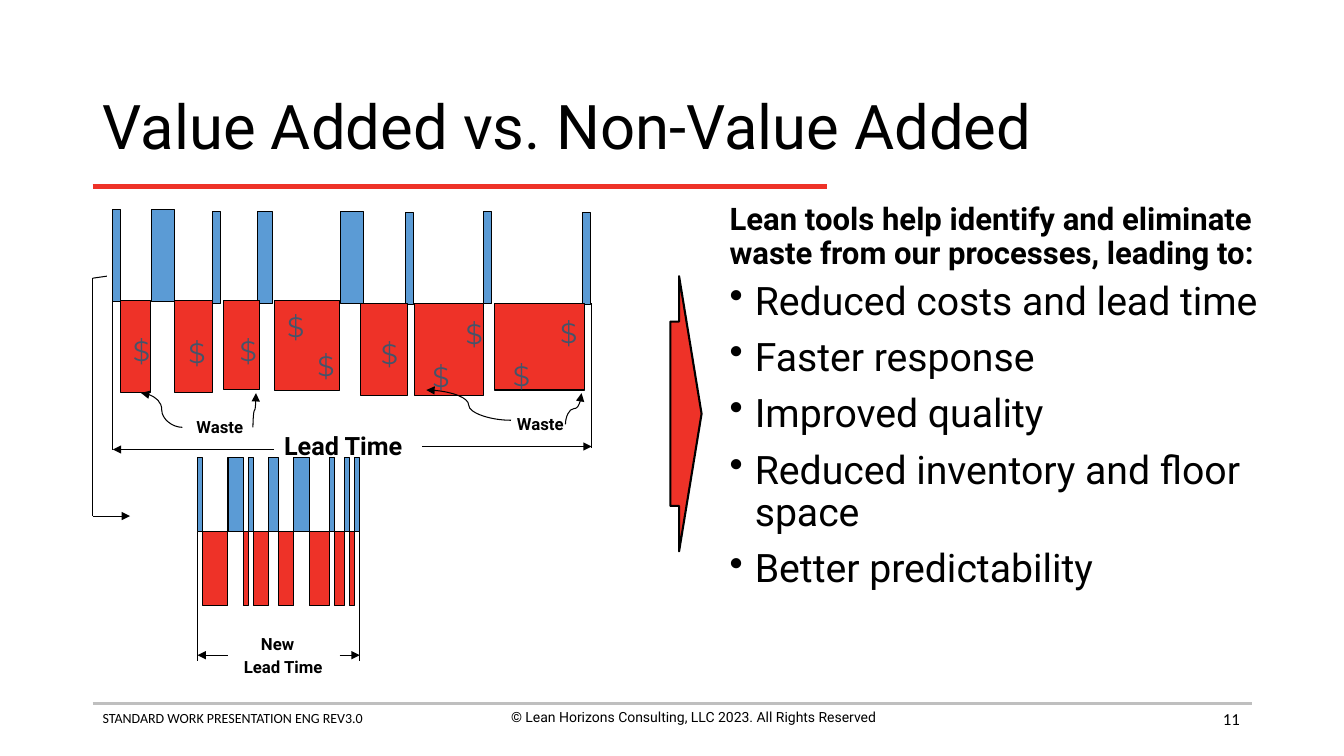
from dataclasses import dataclass

from lxml import etree
from pptx import Presentation
from pptx.dml.color import RGBColor
from pptx.enum.shapes import MSO_CONNECTOR, MSO_SHAPE
from pptx.enum.text import MSO_ANCHOR, MSO_AUTO_SIZE, PP_ALIGN
from pptx.oxml.ns import qn
from pptx.util import Inches, Pt

STRAIGHT, CURVE = MSO_CONNECTOR.STRAIGHT, MSO_CONNECTOR.CURVE
RECTANGLE, RIGHT_ARROW = MSO_SHAPE.RECTANGLE, MSO_SHAPE.RIGHT_ARROW
TOP, MIDDLE, BOTTOM = MSO_ANCHOR.TOP, MSO_ANCHOR.MIDDLE, MSO_ANCHOR.BOTTOM
LEFT, CENTER, RIGHT = PP_ALIGN.LEFT, PP_ALIGN.CENTER, PP_ALIGN.RIGHT


@dataclass(frozen=True)
class Theme:
    black: RGBColor = RGBColor(0x00, 0x00, 0x00)
    waste: RGBColor = RGBColor(0xEE, 0x32, 0x28)
    value: RGBColor = RGBColor(0x5B, 0x9B, 0xD5)
    money: RGBColor = RGBColor(0x44, 0x54, 0x6A)
    rule: RGBColor = RGBColor(0xBF, 0xBF, 0xBF)
    main_font: str = "Roboto"
    footer_font: str = "Calibri"
    money_font: str = "Montserrat"
    title: float = 44
    bullet: float = 28
    heading: float = 22.2
    dollar: float = 20
    lead_time: float = 18
    label: float = 12
    footer: float = 10
    thin: float = 0.75


theme = Theme()
CELL = Inches(0.1)  # the slide is a grid of 133.3 columns by 75 rows
LEFT_EDGE, RIGHT_EDGE = 9.2, 124.2

presentation = Presentation()
presentation.slide_width = int(133.33 * CELL)
presentation.slide_height = 75 * CELL
slide = presentation.slides.add_slide(presentation.slide_layouts[5])


def add_text(box, lines, size, font=theme.main_font, color=theme.black, bold=False,
             anchor=TOP, align=LEFT, wrap=True, shape=None):
    """Fill a new text box, or the given shape, with one paragraph per line."""
    left, top, width, height = [int(length * CELL) for length in box]
    if shape is None:
        shape = slide.shapes.add_textbox(left, top, width, height)
    else:
        shape.left, shape.top, shape.width, shape.height = left, top, width, height
    frame = shape.text_frame
    frame.text = "\n".join(lines)
    frame.word_wrap = wrap
    frame.auto_size = MSO_AUTO_SIZE.NONE
    frame.vertical_anchor = anchor
    for paragraph in frame.paragraphs:
        paragraph.alignment = align
        paragraph.font.size = Pt(size)
        paragraph.font.name = font
        paragraph.font.bold = bold
        paragraph.font.color.rgb = color
    return frame.paragraphs


def add_line(start, end, color=theme.black, width=theme.thin, arrow=False, kind=STRAIGHT,
             upright=False):
    """Draw a line; an upright curve leaves and arrives vertically, going up."""
    (x1, y1), (x2, y2) = start, end
    if upright:
        middle_x, middle_y = (x1 + x2) / 2, (y1 + y2) / 2
        half_run, half_rise = (x2 - x1) / 2, (y1 - y2) / 2
        x1, x2 = middle_x - half_rise, middle_x + half_rise
        y1, y2 = middle_y - half_run, middle_y + half_run
    line = slide.shapes.add_connector(kind, *[int(length * CELL) for length in (x1, y1, x2, y2)])
    line.line.color.rgb = color
    line.line.width = Pt(width)
    properties = line._element.spPr
    if upright:
        properties.find(qn("a:xfrm")).set("rot", str(270 * 60000))
    if arrow:
        etree.SubElement(properties.find(qn("a:ln")), qn("a:tailEnd"), type="triangle")
    etree.SubElement(properties, qn("a:effectLst"))


# Title, rules and footer
title, = add_text((LEFT_EDGE, 7.3, 115, 11.2), ["Value Added vs. Non-Value Added"], theme.title,
                  anchor=MIDDLE, shape=slide.shapes.title)
title.line_spacing = 0.9
add_line((LEFT_EDGE, 18.5), (82, 18.5), theme.waste, 3)
add_line((LEFT_EDGE, 69.8), (RIGHT_EDGE, 69.8), theme.rule, 2)
add_text((LEFT_EDGE, 69.9, 45.6, 4.4), ["STANDARD WORK PRESENTATION ENG REV3.0"], theme.footer,
         theme.footer_font)
add_text((46, 69.8, 45.6, 4.4), ["© Lean Horizons Consulting, LLC 2023. All Rights Reserved"],
         theme.footer, align=CENTER)
add_text((94, 69.3, 30, 4), ["11"], theme.label, theme.footer_font, anchor=MIDDLE, align=RIGHT)

# Benefits
heading, = add_text((71.4, 18.4, 56.7, 9),
                    ["Lean tools help identify and eliminate waste from our processes, leading to:"],
                    theme.heading, bold=True, anchor=BOTTOM)
heading.line_spacing = 0.9
benefits = add_text((71.4, 27.4, 56.7, 40.3),
                    ["Reduced costs and lead time", "Faster response", "Improved quality",
                     "Reduced inventory and floor space", "Better predictability"], theme.bullet)
for number, paragraph in enumerate(benefits):
    paragraph.line_spacing = 0.9
    if number:
        paragraph.space_before = Pt(10)
    paragraph_properties = paragraph._p.get_or_add_pPr()
    paragraph_properties.set("marL", str(Inches(0.25)))
    paragraph_properties.set("indent", str(-Inches(0.25)))
    bullet = etree.Element(qn("a:buChar"), char="•")
    paragraph_properties.find(qn("a:defRPr")).addprevious(bullet)

# Process bars: left, top, width, height, colour
value_steps = [(11.2, 20.8, 0.8), (15, 20.8, 2.3), (21.1, 21, 0.8), (25.5, 21, 1.5),
               (33.8, 21, 2.3), (40.2, 21.1, 0.8), (48, 21, 0.8), (57.8, 21.1, 0.8)]
waste_steps = [(12, 29.8, 2.9, 9.1), (17.3, 29.8, 3.8, 9.1), (22.2, 29.8, 3.5, 8.8),
               (27.2, 29.8, 6.5, 8.9), (35.8, 30.1, 4.6, 9.1), (41.1, 30.1, 6.9, 9.1),
               (49.1, 30.1, 8.9, 8.6)]
bars = [(left, top, width, 9.1, theme.value) for left, top, width in value_steps]
bars += [(*box, theme.waste) for box in waste_steps]

# The new process alternates value and waste with no gaps
NEW_START, NEW_END, NEW_TOP, NEW_HEIGHT = 19.6, 35.7, 45.4, 7.35
new_durations = [1, 5, 3, 1, 1, 3, 2, 3, 3, 4, 1, 2, 1, 1, 1]
time_unit = (NEW_END - NEW_START) / sum(new_durations)
for step, duration in enumerate(new_durations):
    is_waste = step % 2
    bars.append((NEW_START + sum(new_durations[:step]) * time_unit, NEW_TOP + is_waste * NEW_HEIGHT,
                 duration * time_unit, NEW_HEIGHT, theme.waste if is_waste else theme.value))

ARROW_BOX = (66.5, 27.4, 3.1, 27.3)
solids = [(RECTANGLE, *bar, theme.thin) for bar in bars]
solids.append((RIGHT_ARROW, *ARROW_BOX, theme.waste, 1.5))
for kind, left, top, width, height, color, outline in solids:
    shape = slide.shapes.add_shape(kind, *[int(length * CELL) for length in (left, top, width, height)])
    shape.shadow.inherit = False
    shape.fill.solid()
    shape.fill.fore_color.rgb = color
    shape.line.color.rgb = theme.black
    shape.line.width = Pt(outline)
    if kind == RIGHT_ARROW:
        shape.adjustments[0], shape.adjustments[1] = 0.67, 0.72

# Dollar signs on the waste
for left, top in [(12.2, 32.6), (17.7, 32.8), (22.8, 32.6), (27.5, 30.2), (30.5, 34.1),
                  (36.8, 32.9), (45.2, 30.9), (41.9, 35.2), (54.6, 30.8), (49.9, 35.1)]:
    dollar, = add_text((left, top, 2.3, 3), ["$"], theme.dollar, theme.money_font, theme.money,
                       wrap=False)
    outline = etree.Element(qn("a:ln"), w=str(Pt(theme.thin)))
    fill = etree.SubElement(outline, qn("a:solidFill"))
    etree.SubElement(fill, qn("a:srgbClr"), val=str(theme.black))
    dollar._p.pPr.find(qn("a:defRPr")).insert(0, outline)

# Time spans and the path to the new process
for start, end in [((11.2, 29.8), (11.2, 44.6)), ((58.7, 30.1), (58.7, 44.4)),
                   ((10.6, 27.4), (9.2, 27.6)), ((9.2, 27.6), (9.2, 51.2)),
                   ((NEW_START, 52.8), (NEW_START, 65.6)), ((NEW_END, 52.8), (NEW_END, 65.6))]:
    add_line(start, end)
for start, end in [((9.2, 51.2), (12.9, 51.2)), ((27.2, 44.6), (11.2, 44.6)),
                   ((41.9, 44.3), (58.7, 44.3)), ((22.6, 65), (NEW_START, 65)),
                   ((33.7, 65), (NEW_END, 65))]:
    add_line(start, end, arrow=True)
for start, end, upright in [((18.1, 42.4), (14, 39), False), ((25.1, 42.4), (25.4, 39), True),
                            ((50.7, 41.7), (42.3, 38.7), False), ((56.1, 42.1), (57.7, 39), True)]:
    add_line(start, end, arrow=True, kind=CURVE, upright=upright)

# Labels
for left, top in [(18.5, 40.9), (50.3, 40.6)]:
    add_text((left, top, 6.9, 3), ["Waste"], theme.label, bold=True, wrap=False)
add_text((27.2, 42.2, 14.4, 4), ["Lead Time"], theme.lead_time, bold=True, wrap=False)
new_label, lead_time_label = add_text((23.2, 60.7, 9.9, 6.9), ["New", "Lead Time"], theme.label,
                                      bold=True, anchor=BOTTOM, wrap=False)
new_label._p.pPr.set("marL", str(Inches(0.17)))
lead_time_label.space_before = Pt(2)

presentation.save("out.pptx")
